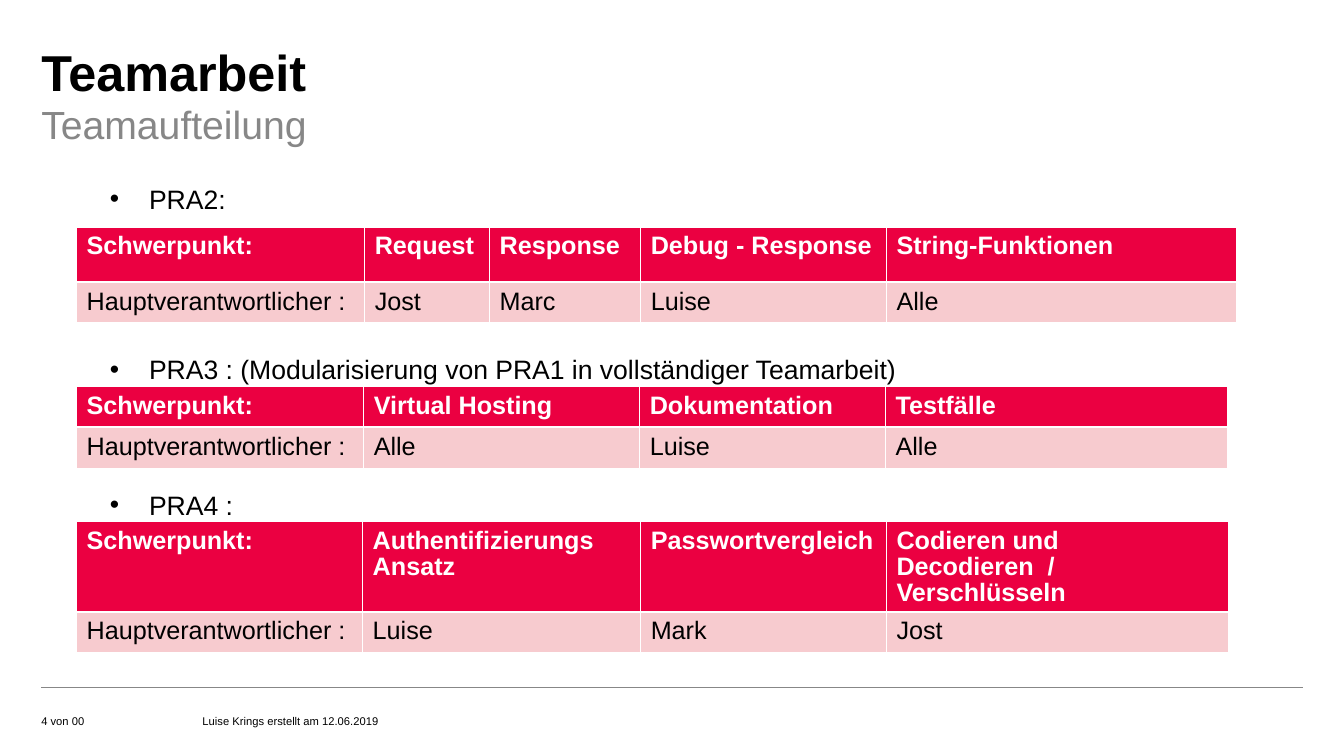
"""Build the slide on how the team shares its work."""
from dataclasses import dataclass
from lxml.etree import SubElement as Sub
from pptx import Presentation as Deck
from pptx.dml.color import RGBColor as Color
from pptx.enum.shapes import MSO_CONNECTOR as Link
from pptx.enum.text import MSO_ANCHOR as Anchor, MSO_AUTO_SIZE as Fit, PP_ALIGN as Align
from pptx.oxml.ns import qn
from pptx.util import Inches, Pt


@dataclass(frozen=True)
class Theme:
    font: str = "Arial"
    black: str = "000000"
    white: str = "FFFFFF"
    gray: str = "878787"
    red: str = "EB0041"
    pink: str = "F7CBCF"
    title: int = 36
    sub: int = 28
    body: int = 19
    cell: int = 18
    foot: int = 8
    thin: float = 0.45
    thick: float = 1.47


def write(par, text, font, size, color, bold=False, gap=1.0, before=0):
    par.text = text
    par.alignment = Align.LEFT
    par.line_spacing = gap
    par.space_before = Pt(before)
    for run in par.runs:
        run.font.name = font
        run.font.size = Pt(size)
        run.font.bold = bold
        run.font.color.rgb = Color.from_string(color)


class Page:
    def __init__(self, deck, theme):
        self.theme = theme
        self.slide = deck.slides.add_slide(deck.slide_layouts[5])
        self.shapes = self.slide.shapes

    def frame(self, shape, box, anchor=Anchor.TOP):
        shape.left, shape.top, shape.width, shape.height = map(Inches, box)
        frame = shape.text_frame
        frame.margin_left = frame.margin_top = 0
        frame.margin_right = frame.margin_bottom = 0
        frame.word_wrap = True
        frame.auto_size = Fit.NONE
        frame.vertical_anchor = anchor
        return frame

    def title(self, text, box):
        frame = self.frame(self.shapes.title, box)
        look = self.theme
        write(frame.paragraphs[0], text, look.font, look.title, look.black, bold=True)

    def text(self, text, box, size, color, gap=1.0, anchor=Anchor.TOP):
        frame = self.frame(self.shapes.add_textbox(*map(Inches, box)), box, anchor)
        write(frame.paragraphs[0], text, self.theme.font, size, color, gap=gap)

    def list(self, items, box):
        frame = self.frame(self.shapes.add_textbox(*map(Inches, box)), box)
        look = self.theme
        for i, (text, before) in enumerate(items):
            par = frame.add_paragraph() if i else frame.paragraphs[0]
            write(par, text, look.font, look.body, look.black, gap=1.1, before=before)
            props = par._p.get_or_add_pPr()
            props.set("marL", str(Inches(1.07)))
            props.set("indent", str(Inches(-0.39)))
            Sub(props, qn("a:buFont"), typeface=look.font)
            Sub(props, qn("a:buChar"), char="•")

    def line(self, x, y, end):
        rule = self.shapes.add_connector(Link.STRAIGHT, *map(Inches, (x, y, end, y)))
        rule.line.color.rgb = Color.from_string(self.theme.gray)
        rule.line.width = Pt(0.5)
        Sub(rule._element.spPr, qn("a:effectLst"))

    def edges(self, cell, head):
        props = cell._tc.get_or_add_tcPr()
        strong = "B" if head else "T"
        for i, side in enumerate("LRTB"):
            width = self.theme.thick if side == strong else self.theme.thin
            edge = Sub(props, qn(f"a:ln{side}"), w=str(Pt(width)))
            Sub(Sub(edge, qn("a:solidFill")), qn("a:srgbClr"), val=self.theme.white)
            props.insert(i, edge)

    def table(self, top, cols, highs, rows):
        look = self.theme
        box = (0.76, top, sum(cols), sum(highs))
        grid = self.shapes.add_table(len(rows), len(cols), *map(Inches, box)).table
        grid.first_row = grid.horz_banding = False
        for col, width in zip(grid.columns, cols):
            col.width = Inches(width)
        for r, (row, high) in enumerate(zip(rows, highs)):
            grid.rows[r].height = Inches(high)
            head = r == 0
            for c, text in enumerate(row):
                cell = grid.cell(r, c)
                cell.margin_left = cell.margin_right = Inches(0.1)
                cell.margin_top, cell.margin_bottom = Inches(0.07), Inches(0.05)
                cell.fill.solid()
                cell.fill.fore_color.rgb = Color.from_string(look.red if head else look.pink)
                write(cell.text_frame.paragraphs[0], text, look.font, look.cell,
                      look.white if head else look.black, bold=head, gap=0.93)
                self.edges(cell, head)


def main():
    deck = Deck()
    deck.slide_width, deck.slide_height = Inches(13.34), Inches(7.5)
    look = Theme()
    page = Page(deck, look)
    page.line(0.41, 6.82, 12.93)
    page.title("Teamarbeit", (0.41, 0.41, 9.65, 0.62))
    page.text("Teamaufteilung", (0.41, 0.95, 9.65, 0.55), look.sub, look.gray, gap=1.1)
    page.list([
        ("PRA2:", 0),
        ("PRA3 : (Modularisierung von PRA1 in vollständiger Teamarbeit)", 96.8),
        ("PRA4 :", 71.8),
    ], (0.41, 1.78, 11.14, 4.4))
    for text, x, width in (("4 von 00", 0.41, 1.57),
                           ("Luise Krings erstellt am 12.06.2019", 2.01, 10.24)):
        page.text(text, (x, 6.9, width, 0.32), look.foot, look.black, anchor=Anchor.BOTTOM)

    topic, lead = "Schwerpunkt:", "Hauptverantwortlicher :"
    page.table(2.25, (2.86, 1.24, 1.5, 2.44, 3.47), (0.55, 0.4), (
        (topic, "Request", "Response", "Debug - Response", "String-Funktionen"),
        (lead, "Jost", "Marc", "Luise", "Alle")))
    page.table(3.83, (2.85, 2.74, 2.44, 3.39), (0.41, 0.41), (
        (topic, "Virtual Hosting", "Dokumentation", "Testfälle"),
        (lead, "Alle", "Luise", "Alle")))
    page.table(5.17, (2.84, 2.76, 2.44, 3.39), (0.9, 0.4), (
        (topic, "Authentifizierungs Ansatz", "Passwortvergleich",
         "Codieren und\nDecodieren  / Verschlüsseln"),
        (lead, "Luise", "Mark", "Jost")))
    deck.save("out.pptx")


if __name__ == "__main__":
    main()
